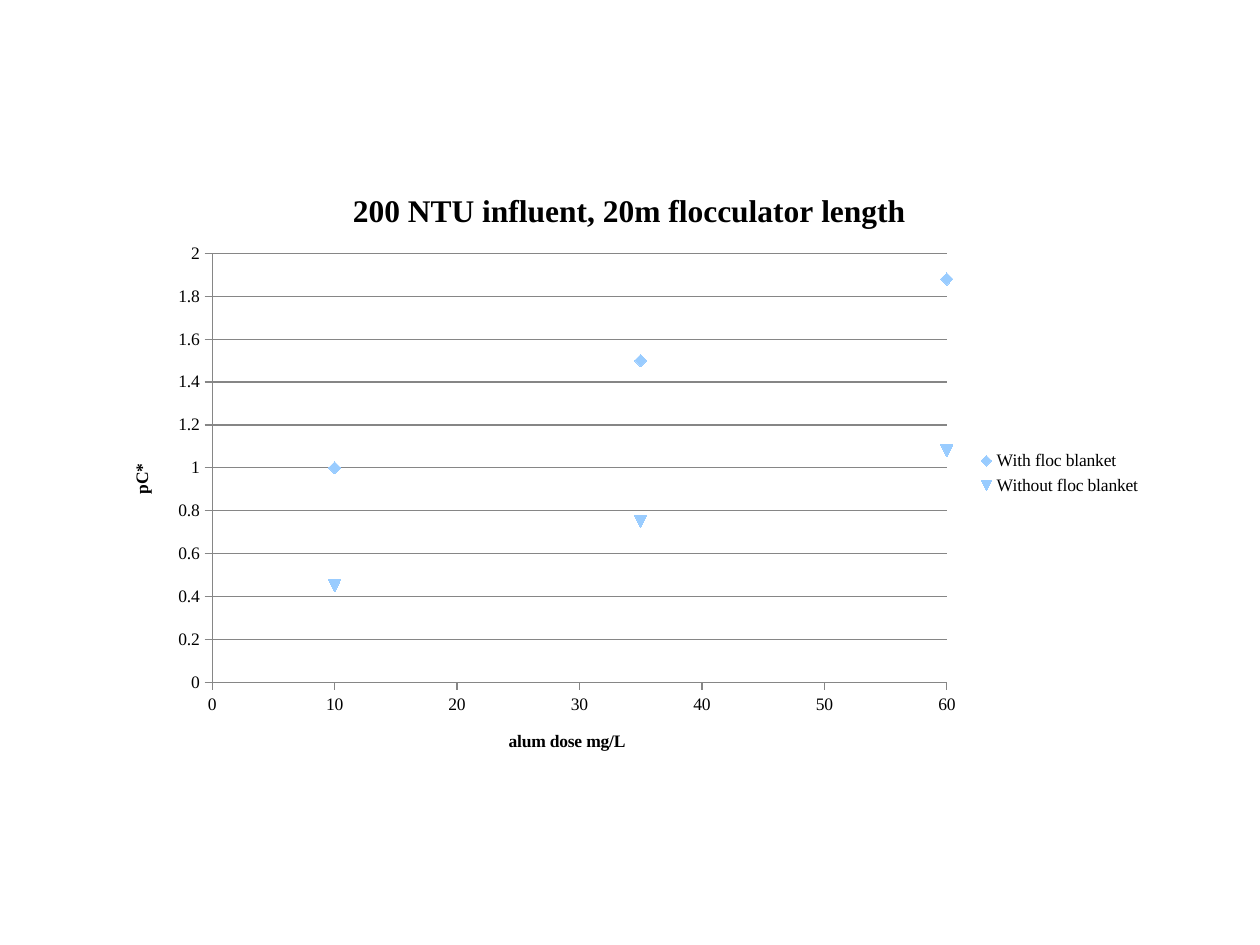
from lxml import etree
from pptx import Presentation
from pptx.chart import data as chart_data
from pptx.dml.color import RGBColor
from pptx.enum import chart as ch
from pptx.oxml import parse_xml
from pptx.oxml.ns import nsdecls
from pptx.util import Inches, Pt

FONT = "Times New Roman"
BLACK = RGBColor(0x00, 0x00, 0x00)
GRAY = RGBColor(0x86, 0x86, 0x86)
LIGHT_BLUE = RGBColor(0x99, 0xCC, 0xFF)

DOSES = (60, 35, 10)
REMOVAL = {
    "With floc blanket": (1.88, 1.5, 1),
    "Without floc blanket": (1.08, 0.75, 0.45),
}


def style_font(font, size, bold=False):
    font.name = FONT
    font.size = Pt(size)
    font.bold = bold
    font.color.rgb = BLACK


def set_title(owner, wording, size):
    """Title a chart or an axis."""
    run = owner.text_frame.paragraphs[0].add_run()
    run.text = wording
    style_font(run.font, size, bold=True)


def style_axis(axis, wording, maximum, step):
    axis.minimum_scale = 0
    axis.maximum_scale = maximum
    axis.major_unit = step
    axis.major_tick_mark = ch.XL_TICK_MARK.OUTSIDE
    axis.minor_tick_mark = ch.XL_TICK_MARK.NONE
    axis.tick_labels.number_format = "General"
    axis.tick_labels.number_format_is_linked = False
    style_font(axis.tick_labels.font, 10)
    axis.format.line.color.rgb = GRAY
    axis.format.line.width = Pt(0.75)
    set_title(axis.axis_title, wording, 10)


def place_plot_area(chart, x, y, w, h):
    """Fix the inner plot area, as fractions of the chart."""
    plot_area = chart._chartSpace.chart.plotArea
    for old in plot_area.findall("{*}layout"):
        plot_area.remove(old)
    layout = parse_xml(f"<c:layout {nsdecls('c')}><c:manualLayout/></c:layout>")
    settings = (("layoutTarget", "inner"), ("xMode", "edge"), ("yMode", "edge"),
                ("x", x), ("y", y), ("w", w), ("h", h))
    for tag, value in settings:
        etree.SubElement(layout[0], f"{{{layout.nsmap['c']}}}{tag}", val=str(value))
    plot_area.insert(0, layout)


def add_removal_chart(slide, left, top, width, height):
    points = chart_data.XyChartData()
    for name, values in REMOVAL.items():
        series = points.add_series(name)
        for dose, value in zip(DOSES, values):
            series.add_data_point(dose, value)
    chart = slide.shapes.add_chart(
        ch.XL_CHART_TYPE.XY_SCATTER, left, top, width, height, points).chart
    style_font(chart.font, 10)
    set_title(chart.chart_title, "200 NTU influent, 20m flocculator length", 18)
    chart.chart_title.include_in_layout = False

    # Axes and gridlines
    style_axis(chart.category_axis, "alum dose mg/L", 60, 10)
    style_axis(chart.value_axis, "pC*", 2, 0.2)
    chart.category_axis.has_major_gridlines = False
    gridlines = chart.value_axis.major_gridlines.format.line
    gridlines.color.rgb = GRAY
    gridlines.width = Pt(0.75)
    place_plot_area(chart, 0.1025, 0.142, 0.7, 0.699)

    # Markers without joining lines
    chart.plots[0].vary_by_categories = False
    for series in chart.plots[0].series:
        series.smooth = False
        series.format.line.fill.background()
        series.marker.style = ch.XL_MARKER_STYLE.AUTOMATIC
        series.marker.size = 7
        series.marker.format.fill.solid()
        series.marker.format.fill.fore_color.rgb = LIGHT_BLUE
        series.marker.format.line.color.rgb = LIGHT_BLUE

    # Legend
    chart.has_legend = True
    chart.legend.position = ch.XL_LEGEND_POSITION.RIGHT
    chart.legend.include_in_layout = False
    style_font(chart.legend.font, 10)


def main():
    prs = Presentation()
    prs.slide_width, prs.slide_height = Inches(10), Inches(7.5)
    slide = prs.slides.add_slide(prs.slide_layouts[6])
    add_removal_chart(slide, Inches(0.83), Inches(1.32), Inches(8.33), Inches(4.87))
    prs.save("out.pptx")


if __name__ == "__main__":
    main()
